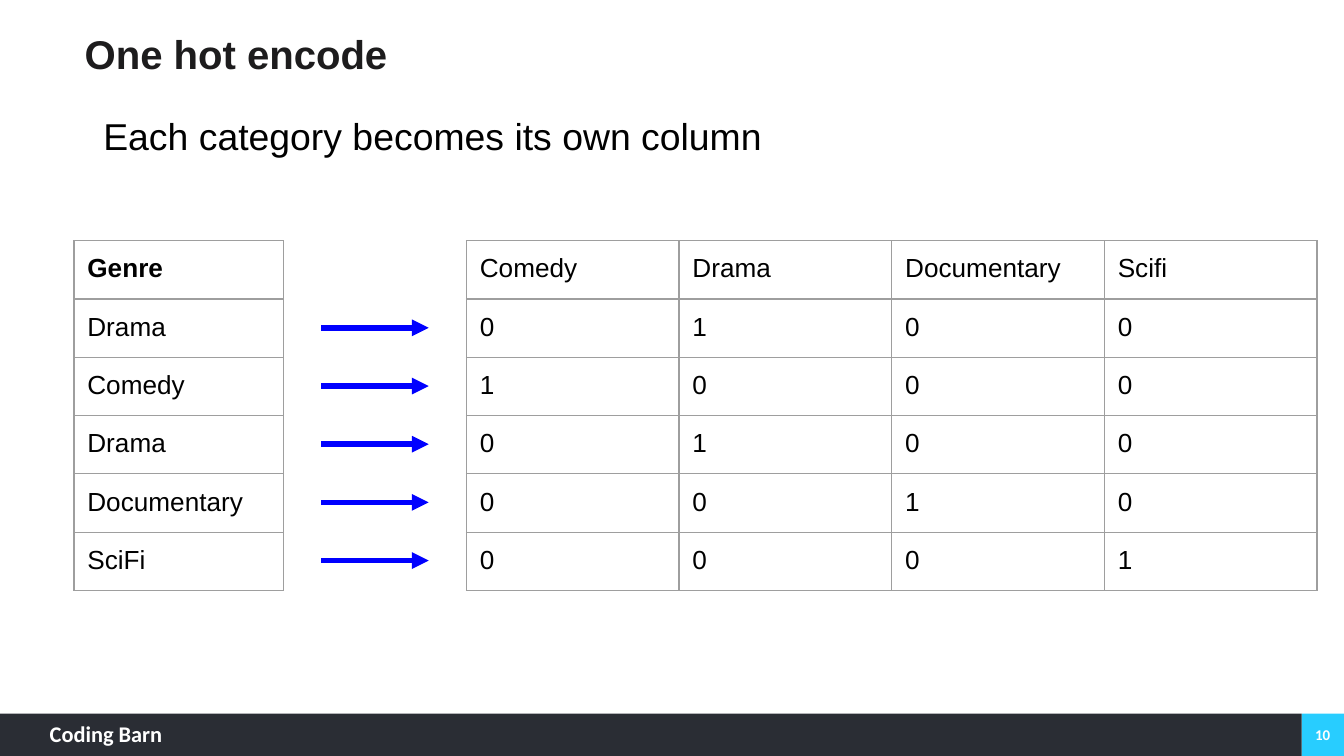
from lxml.etree import SubElement
from pptx import Presentation
from pptx.dml.color import RGBColor
from pptx.enum.shapes import MSO_CONNECTOR, MSO_SHAPE
from pptx.enum.text import MSO_ANCHOR, PP_ALIGN
from pptx.oxml.ns import qn
from pptx.util import Inches, Pt

# The slide is a grid of square cells; boxes are (left, top, width, height) in cells
COLUMNS, ROWS = 100, 56.25
CELL = Inches(0.1)
TABLE_ROW = 4.33

COLORS = {
    "white": "FFFFFF",
    "black": "000000",
    "title": "1D1C1D",
    "footer": "2A2D34",
    "number": "28CDFF",
    "border": "9E9E9E",
    "arrow": "0000FF",
}
GENRES = ["Drama", "Comedy", "Drama", "Documentary", "SciFi"]
CATEGORIES = ["Comedy", "Drama", "Documentary", "Scifi"]


def cells(*lengths):
    return [round(length * CELL) for length in lengths]


def color(name):
    return RGBColor.from_string(COLORS[name])


def add_run(paragraph, text, size, color_name="black", bold=False, font="Arial"):
    run = paragraph.add_run()
    run.text = text
    run.font.size = Pt(size)
    run.font.name = font
    run.font.bold = bold
    run.font.color.rgb = color(color_name)


def add_text(slide, box, text, size, inset=0, anchor=MSO_ANCHOR.TOP,
             align=PP_ALIGN.LEFT, **style):
    frame = slide.shapes.add_textbox(*cells(*box)).text_frame
    frame.word_wrap = True
    frame.vertical_anchor = anchor
    frame.margin_left = frame.margin_right = Inches(inset)
    frame.margin_top = frame.margin_bottom = Inches(inset)
    paragraph = frame.paragraphs[0]
    paragraph.alignment = align
    add_run(paragraph, text, size, **style)


def add_bar(slide, box, color_name):
    shape = slide.shapes.add_shape(MSO_SHAPE.RECTANGLE, *cells(*box))
    shape.shadow.inherit = False
    shape.fill.solid()
    shape.fill.fore_color.rgb = color(color_name)
    shape.line.fill.background()


def add_footer(slide, box):
    left, top, width, height = box
    number_box = (left + width - height, top, height, height)
    label = {"font": "Calibri", "color_name": "white", "bold": True}
    add_bar(slide, number_box, "number")
    add_bar(slide, (left, top, width - height, height), "footer")
    add_text(slide, (left + 3.7, top + 0.5, 15.7, 2.3), "Coding Barn", 12, **label)
    add_text(slide, number_box, "10", 8, 0.04, MSO_ANCHOR.MIDDLE,
             PP_ALIGN.CENTER, **label)


def add_heading(slide, box):
    left, top, width, height = box
    add_text(slide, (left, top, width, height / 2), "One hot encode", 21.5, 0.02,
             MSO_ANCHOR.MIDDLE, color_name="title", bold=True)
    add_text(slide, (left + 0.6, top + height / 2 + 0.4, width, height / 2),
             "Each category becomes its own column", 20, 0.1)


def add_borders(cell):
    properties = cell._tc.get_or_add_tcPr()
    for side in ("a:lnL", "a:lnR", "a:lnT", "a:lnB"):
        line = SubElement(properties, qn(side), w=str(Pt(0.75)))
        fill = SubElement(line, qn("a:solidFill"))
        SubElement(fill, qn("a:srgbClr"), val=COLORS["border"])


def add_grid_table(slide, box, records, bold_header=False):
    frame = slide.shapes.add_table(len(records), len(records[0]), *cells(*box))
    table = frame.table
    table.first_row = table.horz_banding = False
    for row_index, record in enumerate(records):
        for column_index, value in enumerate(record):
            cell = table.cell(row_index, column_index)
            add_borders(cell)
            cell.fill.background()
            cell.margin_left = cell.margin_right = Inches(0.1)
            cell.margin_top = cell.margin_bottom = Inches(0.1)
            add_run(cell.text_frame.paragraphs[0], value, 14,
                    bold=bold_header and row_index == 0)


def add_arrows(slide, box, count):
    """One arrow through the middle of each of the equal rows in the box."""
    left, top, width, height = box
    for index in range(count):
        middle = top + (index + 0.5) * height / count
        connector = slide.shapes.add_connector(
            MSO_CONNECTOR.STRAIGHT, *cells(left, middle, left + width, middle))
        connector.line.color.rgb = color("arrow")
        connector.line.width = Pt(3)
        SubElement(connector.line._get_or_add_ln(), qn("a:tailEnd"), type="triangle")
        SubElement(connector._element.spPr, qn("a:effectLst"))


def add_encoding(slide, box):
    left, top, width, height = box
    # Genre column
    add_grid_table(slide, (left, top, 15.6, height),
                   [["Genre"]] + [[genre] for genre in GENRES], bold_header=True)
    # A one where the category matches the genre, zero elsewhere
    encoded = [[str(int(category.lower() == genre.lower())) for category in CATEGORIES]
               for genre in GENRES]
    add_grid_table(slide, (left + 29.2, top, width - 29.2, height),
                   [CATEGORIES] + encoded)
    # Arrows beside the rows below the header
    add_arrows(slide, (left + 18.4, top + TABLE_ROW, 8, height - TABLE_ROW), len(GENRES))


def main():
    presentation = Presentation()
    presentation.slide_width, presentation.slide_height = cells(COLUMNS, ROWS)
    slide = presentation.slides.add_slide(presentation.slide_layouts[6])
    add_footer(slide, (0, 53.1, COLUMNS, ROWS - 53.1))
    add_heading(slide, (6.1, 1, 86.1, 12))
    add_encoding(slide, (5.5, 17.9, 92.5, TABLE_ROW * (len(GENRES) + 1)))
    presentation.save("out.pptx")


if __name__ == "__main__":
    main()
